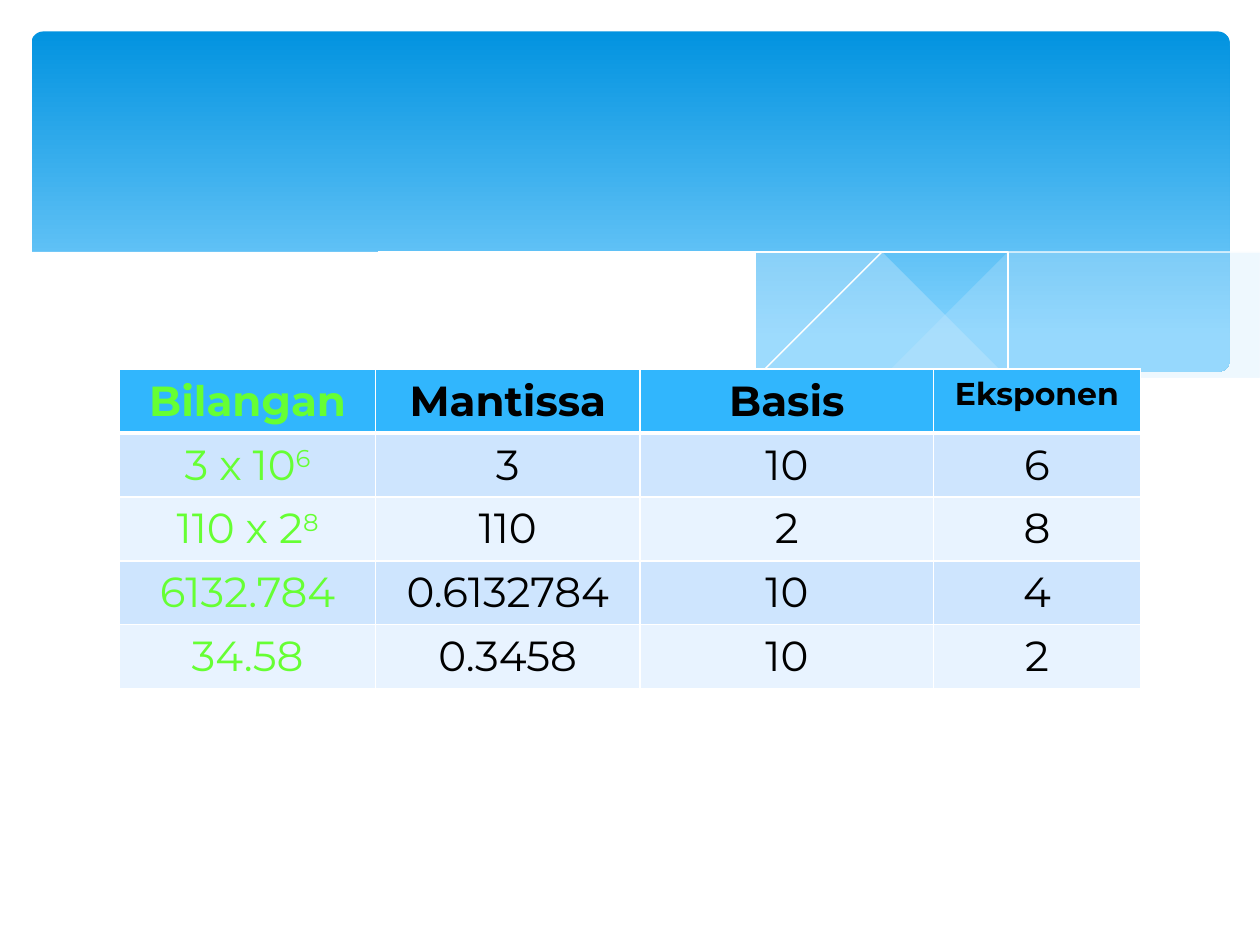
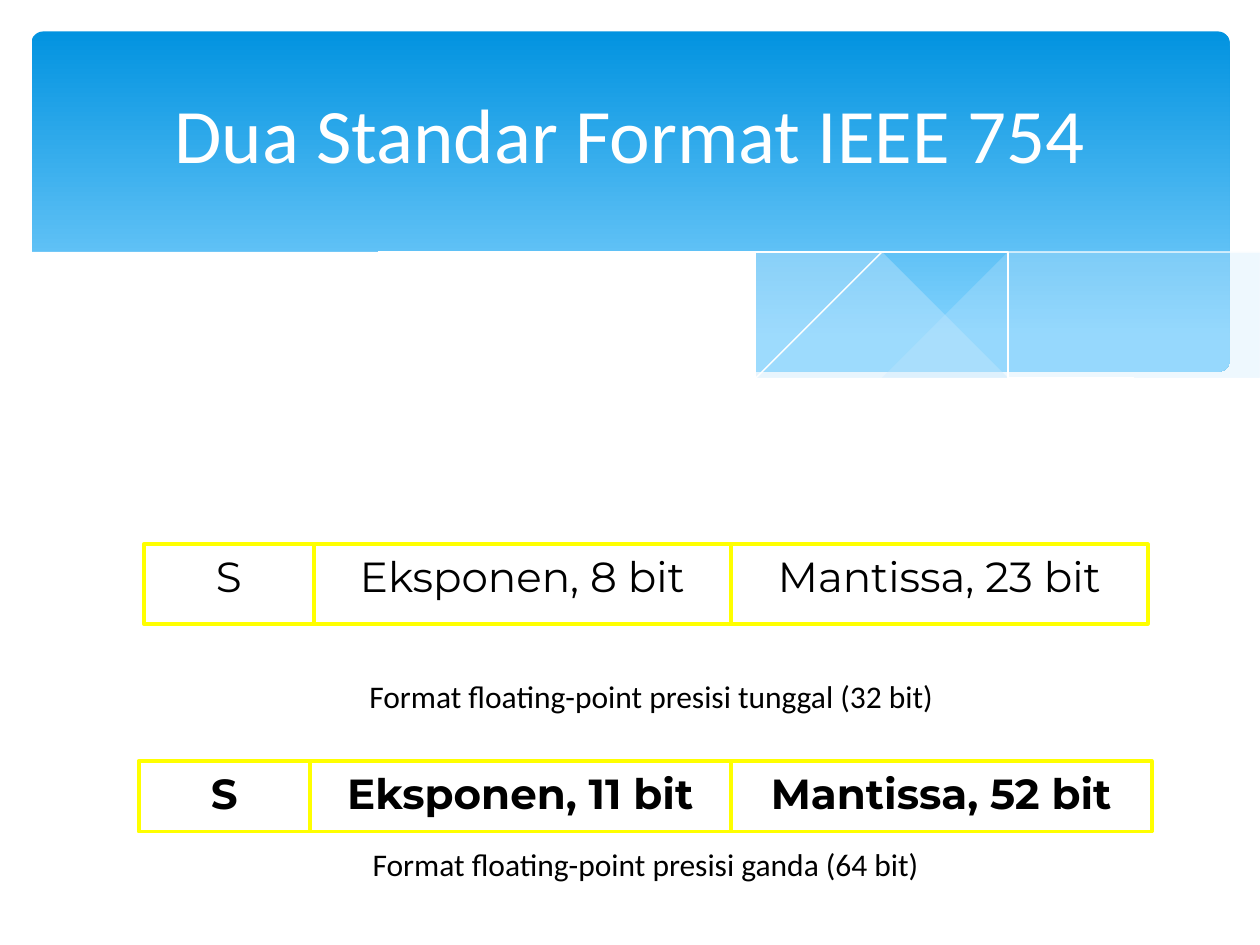
import pptx
import pptx.dml.color
import pptx.enum.shapes
import pptx.enum.text
import pptx.oxml
import pptx.oxml.ns
import pptx.util

Inches = pptx.util.Inches
Pt = pptx.util.Pt
CENTER = pptx.enum.text.PP_ALIGN.CENTER
TOP = pptx.enum.text.MSO_ANCHOR.TOP
MIDDLE = pptx.enum.text.MSO_ANCHOR.MIDDLE

COLORS = {
    "white": "FFFFFF", "black": "000000", "green": "66FF33", "yellow": "FFFF00",
    "band_top": "0293E0", "band_bottom": "83D3FE", "wave": "C6E7FC",
    "header": "31B6FD", "row_dark": "CEE5FE", "row_light": "E8F3FF",
}
HEADING_FONT, DATA_FONT = "Calibri", "Montserrat"

# Outlines of the banner waves, in inches
RIGHT_WAVE = [
    (9.76, 2), (9.62, 2.02), (9.35, 2.07), (9.06, 2.13), (8.76, 2.2), (8.32, 2.3),
    (7.79, 2.42), (7.29, 2.53), (6.83, 2.62), (6.61, 2.65), (6.91, 2.69),
    (7.19, 2.72), (7.45, 2.75), (7.69, 2.77), (8.03, 2.78), (8.35, 2.77),
    (8.63, 2.75), (8.89, 2.72), (9.13, 2.67), (9.35, 2.62), (9.49, 2.57),
    (9.63, 2.52), (9.76, 2.47)]
MIDDLE_WAVE = [
    (8.93, 2.73), (8.66, 2.69), (8.37, 2.65), (8.07, 2.6), (7.75, 2.54),
    (7.41, 2.47), (7.06, 2.4), (6.68, 2.31), (6.29, 2.22), (5.98, 2.14),
    (5.69, 2.08), (5.41, 2.03), (5.14, 1.98), (4.89, 1.94), (4.65, 1.91),
    (4.42, 1.89), (4.2, 1.87), (3.99, 1.86), (3.8, 1.85), (3.61, 1.85),
    (3.28, 1.87), (2.86, 1.91), (3.23, 1.96), (3.62, 2.03), (4.04, 2.11),
    (4.49, 2.22), (4.91, 2.32), (5.3, 2.4), (5.66, 2.48), (6.01, 2.55),
    (6.34, 2.61), (6.65, 2.66), (6.95, 2.7), (7.22, 2.74), (7.48, 2.76),
    (7.73, 2.77), (7.96, 2.78), (8.28, 2.78), (8.57, 2.77), (8.76, 2.75)]
FALLING_LINE = [
    (3.09, 1.95), (3.28, 1.92), (3.44, 1.9), (3.63, 1.89), (3.87, 1.87),
    (4.16, 1.87), (4.5, 1.88), (4.89, 1.9), (5.33, 1.94), (5.82, 2), (6.08, 2.04),
    (6.36, 2.08), (6.65, 2.13), (6.95, 2.19), (7.27, 2.26), (7.6, 2.33),
    (7.95, 2.41), (8.31, 2.51), (8.69, 2.61), (9.07, 2.72)]
RISING_LINE = [
    (6.13, 2.57), (6.53, 2.46), (6.95, 2.35), (7.2, 2.29), (7.48, 2.23),
    (7.76, 2.16), (8.06, 2.1), (8.36, 2.04), (8.66, 1.99), (8.95, 1.94),
    (9.24, 1.9), (9.51, 1.87), (9.75, 1.85)]
WHITE_WAVE = [
    (9.77, 2.46), (9.59, 2.53), (9.4, 2.59), (9.2, 2.65), (8.99, 2.69),
    (8.75, 2.73), (8.5, 2.75), (8.23, 2.77), (7.93, 2.76), (7.61, 2.75),
    (7.26, 2.72), (6.88, 2.68), (6.48, 2.62), (6.03, 2.54), (5.55, 2.45),
    (5.03, 2.33), (4.47, 2.2), (4.18, 2.13), (3.91, 2.07), (3.65, 2.02),
    (3.4, 1.97), (3.16, 1.94), (2.92, 1.9), (2.71, 1.88), (2.5, 1.86),
    (2.3, 1.85), (2.11, 1.84), (1.77, 1.84), (1.46, 1.85), (1.19, 1.87),
    (0.95, 1.91), (0.76, 1.95), (0.59, 1.99), (0.46, 2.03), (0.36, 2.07),
    (0.23, 2.13), (0.23, 3.29), (9.77, 3.29)]

NUMBER_COLUMNS = [("Bilangan", 2.03, 24), ("Mantissa", 2.1, 24),
                  ("Basis", 2.33, 24), ("Eksponen", 1.64, 18)]
# Number, its superscript, then mantissa, base and exponent
NUMBERS = [
    ("3 x 10", "6", "3", "10", "6"),
    ("110 x 2", "8", "110", "2", "8"),
    ("6132.784", "", "0.6132784", "10", "4"),
    ("34.58", "", "0.3458", "10", "2"),
]


def rgb(name):
    return pptx.dml.color.RGBColor.from_string(COLORS[name])


def add_run(paragraph, text, font, size, color, bold=False, raised=False):
    paragraph.alignment = CENTER
    run = paragraph.add_run()
    run.text = text
    run.font.name, run.font.size, run.font.bold = font, Pt(size), bold
    run.font.color.rgb = rgb(color)
    if raised:
        run._r.get_or_add_rPr().set("baseline", "30000")


# Banner shared by both slides
def add_outline(slide, points, closed):
    builder = slide.shapes.build_freeform(*points[0], scale=Inches(1))
    builder.add_line_segments(points[1:], close=closed)
    outline = builder.convert_to_shape()
    outline.shadow.inherit = False
    return outline


def add_wave(slide, points, color, opacity=100):
    wave = add_outline(slide, points, True)
    wave.line.fill.background()
    wave.fill.solid()
    wave.fill.fore_color.rgb = rgb(color)
    if opacity < 100:
        wave_color = wave.element.spPr.find(".//" + pptx.oxml.ns.qn("a:srgbClr"))
        wave_color.append(pptx.oxml.parse_xml(
            f'<a:alpha {pptx.oxml.ns.nsdecls("a")} val="{opacity * 1000}"/>'))


def add_hairline(slide, points):
    hairline = add_outline(slide, points, False)
    hairline.fill.background()
    hairline.line.color.rgb = rgb("white")
    hairline.line.width = Pt(0)


def add_banner(slide):
    band = slide.shapes.add_shape(
        pptx.enum.shapes.MSO_SHAPE.ROUNDED_RECTANGLE,
        Inches(0.25), Inches(0.25), Inches(9.51), Inches(2.7))
    band.adjustments[0] = 0.034
    band.shadow.inherit = False
    band.line.fill.background()
    band.fill.gradient()
    band.fill.gradient_angle = 270
    stops = zip(band.fill.gradient_stops, (0, 0.9), ("band_top", "band_bottom"))
    for stop, position, color in stops:
        stop.position = position
        stop.color.rgb = rgb(color)
    add_wave(slide, RIGHT_WAVE, "wave", 29)
    add_wave(slide, MIDDLE_WAVE, "wave", 40)
    add_hairline(slide, FALLING_LINE)
    add_hairline(slide, RISING_LINE)
    add_wave(slide, WHITE_WAVE, "white")


def add_title(slide, text):
    title = slide.shapes.title
    title.left, title.top = Inches(0.5), Inches(0.37)
    title.width, title.height = Inches(9), Inches(1.37)
    title.text_frame.vertical_anchor = MIDDLE
    add_run(title.text_frame.paragraphs[0], text, HEADING_FONT, 44, "white")
    # Bring the title in front of the banner
    title.element.getparent().append(title.element)


# Table of numbers
def style_cell(cell, color, top=1, bottom=1):
    properties = cell._tc.get_or_add_tcPr()
    for side, width in (("L", 1), ("R", 1), ("T", top), ("B", bottom)):
        properties.append(pptx.oxml.parse_xml(
            f'<a:ln{side} {pptx.oxml.ns.nsdecls("a")} w="{Pt(width)}"><a:solidFill>'
            f'<a:srgbClr val="{COLORS["white"]}"/></a:solidFill></a:ln{side}>'))
    cell.fill.solid()
    cell.fill.fore_color.rgb = rgb(color)
    cell.vertical_anchor = TOP


def add_number_table(slide):
    table = slide.shapes.add_table(
        len(NUMBERS) + 1, len(NUMBER_COLUMNS),
        Inches(0.95), Inches(2.93), Inches(8.1), Inches(2.5)).table
    for index, (heading, width, size) in enumerate(NUMBER_COLUMNS):
        table.columns[index].width = Inches(width)
        cell = table.cell(0, index)
        style_cell(cell, "header", bottom=3)
        add_run(cell.text_frame.paragraphs[0], heading, DATA_FONT, size,
                "black" if index else "green", bold=True)
    for row, (number, power, *parts) in enumerate(NUMBERS, start=1):
        for column, text in enumerate([number, *parts]):
            cell = table.cell(row, column)
            style_cell(cell, "row_dark" if row % 2 else "row_light",
                       top=3 if row == 1 else 1)
            paragraph = cell.text_frame.paragraphs[0]
            add_run(paragraph, text, DATA_FONT, 24, "black" if column else "green")
            if column == 0 and power:
                add_run(paragraph, power, DATA_FONT, 24, "green", raised=True)


# Bit layouts
def add_bit_fields(slide, left, top, height, fields, bold):
    for label, width in fields:
        field = slide.shapes.add_shape(
            pptx.enum.shapes.MSO_SHAPE.RECTANGLE,
            Inches(left), Inches(top), Inches(width), Inches(height))
        field.shadow.inherit = False
        field.fill.background()
        field.line.color.rgb = rgb("yellow")
        field.line.width = Pt(2.25)
        field.text_frame.word_wrap = True
        field.text_frame.vertical_anchor = TOP
        add_run(field.text_frame.paragraphs[0], label, DATA_FONT, 24, "black", bold)
        left += width


def add_caption(slide, left, top, width, text):
    caption = slide.shapes.add_textbox(
        Inches(left), Inches(top), Inches(width), Inches(0.4))
    caption.text_frame.word_wrap = False
    caption.text_frame.vertical_anchor = MIDDLE
    add_run(caption.text_frame.paragraphs[0], text, HEADING_FONT, 18, "black")


def main():
    deck = pptx.Presentation()
    deck.slide_width, deck.slide_height = Inches(10), Inches(7.5)
    title_only, blank = deck.slide_layouts[5], deck.slide_layouts[6]

    # Slide 1: parts of a number
    numbers = deck.slides.add_slide(blank)
    add_banner(numbers)
    add_number_table(numbers)

    # Slide 2: the two formats
    formats = deck.slides.add_slide(title_only)
    add_banner(formats)
    add_title(formats, "Dua Standar Format IEEE 754")
    add_bit_fields(formats, 1.14, 4.32, 0.63, [
        ("S", 1.35), ("Eksponen, 8 bit", 3.31), ("Mantissa, 23 bit", 3.31)], False)
    add_caption(formats, 2.05, 5.32, 6.24,
                "Format floating-point presisi tunggal (32 bit)")
    add_bit_fields(formats, 1.1, 6.04, 0.56, [
        ("S", 1.36), ("Eksponen, 11 bit", 3.34), ("Mantissa, 52 bit", 3.34)], True)
    add_caption(formats, 2.1, 6.66, 6.05,
                "Format floating-point presisi ganda (64 bit)")

    deck.save("out.pptx")


if __name__ == "__main__":
    main()
